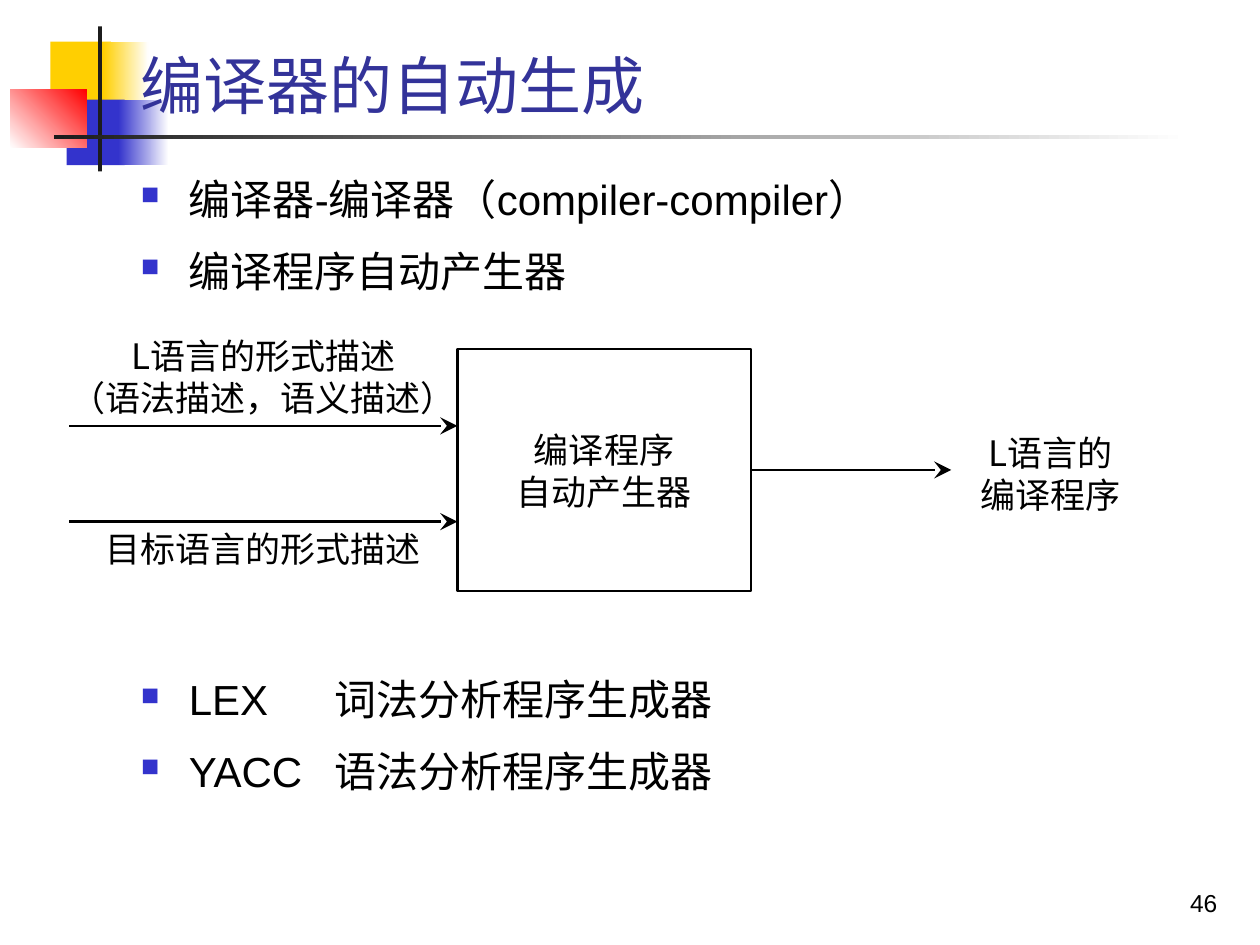
"""Build the slide on automatic compiler generation with its data-flow diagram."""
from lxml import etree
from pptx import Presentation
from pptx.dml.color import RGBColor
from pptx.enum.shapes import MSO_CONNECTOR, MSO_SHAPE
from pptx.enum.text import MSO_ANCHOR, PP_ALIGN
from pptx.oxml.ns import qn
from pptx.util import Inches, Pt

YELLOW = RGBColor(0xFF, 0xCF, 0x01)
BLUE = RGBColor(0x33, 0x33, 0xCC)
RED = RGBColor(0xFF, 0x00, 0x00)
DARK = RGBColor(0x1C, 0x1C, 0x1C)
WHITE = RGBColor(0xFF, 0xFF, 0xFF)
BLACK = RGBColor(0x00, 0x00, 0x00)
TITLE = RGBColor(0x33, 0x33, 0x99)
CJK = "Noto Sans CJK SC"


def write(sp, text, size=20, font=CJK, color=BLACK, align=PP_ALIGN.CENTER,
          anchor=MSO_ANCHOR.MIDDLE, inset=0, wrap=False, before=0, bullet=False):
    tf = sp.text_frame
    tf.word_wrap = wrap
    tf.vertical_anchor = anchor
    tf.margin_left = tf.margin_right = Inches(inset)
    for i, line in enumerate(text.split("\n")):
        p = tf.paragraphs[0] if i == 0 else tf.add_paragraph()
        p.alignment = align
        p.line_spacing = Pt(size * 1.2)
        p.space_before = Pt(before if i else 0)
        if bullet:
            pPr = p._p.get_or_add_pPr()
            pPr.set("marL", str(Inches(0.38)))
            pPr.set("indent", str(Inches(-0.38)))
            clr = etree.SubElement(pPr, qn("a:buClr"))
            etree.SubElement(clr, qn("a:srgbClr"), val=str(BLUE))
            etree.SubElement(pPr, qn("a:buSzPct"), val="60000")
            etree.SubElement(pPr, qn("a:buFont"), typeface="Wingdings", charset="2")
            etree.SubElement(pPr, qn("a:buChar"), char="n")
        r = p.add_run()
        r.text = line
        r.font.size = Pt(size)
        r.font.name = font
        r.font.color.rgb = color
        etree.SubElement(r._r.get_or_add_rPr(), qn("a:ea"), typeface=CJK)


prs = Presentation()
prs.slide_width = Inches(10)
prs.slide_height = Inches(7.5)
s = prs.slides.add_slide(prs.slide_layouts[6])

for x, y, w, h, start, end, angle in [
    (0.4, 0.33, 0.48, 0.52, YELLOW, None, 0),
    (0.82, 0.33, 0.36, 0.52, YELLOW, WHITE, 0),
    (0.53, 0.79, 0.46, 0.52, BLUE, None, 0),
    (0.94, 0.79, 0.4, 0.52, BLUE, WHITE, 0),
    (0.08, 0.71, 0.61, 0.46, WHITE, RED, 45),
    (0.78, 0.21, 0.03, 1.15, DARK, None, 0),
    (0.43, 1.07, 9, 0.03, DARK, WHITE, 0),
]:
    sp = s.shapes.add_shape(MSO_SHAPE.RECTANGLE, Inches(x), Inches(y), Inches(w), Inches(h))
    sp.shadow.inherit = False
    sp.line.fill.background()
    if end is None:
        sp.fill.solid()
        sp.fill.fore_color.rgb = start
    else:
        sp.fill.gradient()
        sp.fill.gradient_angle = angle
        for stop, color in zip(sp.fill.gradient_stops, (start, end)):
            stop.color.rgb = color

body = dict(size=24, font="Arial", align=PP_ALIGN.LEFT, anchor=MSO_ANCHOR.TOP,
            inset=0.1, wrap=True, before=12)
for x, y, w, h, text, style in [
    (1.02, 0.31, 8.75, 0.71, "编译器的自动生成",
     dict(body, size=36, color=TITLE, anchor=MSO_ANCHOR.BOTTOM)),
    (1.02, 1.33, 8.73, 1.1, "编译器-编译器（compiler-compiler）\n编译程序自动产生器",
     dict(body, bullet=True)),
    (1.02, 5.3, 1.5, 1.1, "LEX\nYACC", dict(body, bullet=True)),
    (2.56, 5.3, 7.19, 1.1, "词法分析程序生成器\n语法分析程序生成器", body),
    (7.68, 6.83, 2.08, 0.5, "46",
     dict(body, size=14, align=PP_ALIGN.RIGHT, anchor=MSO_ANCHOR.BOTTOM)),
    (0.44, 2.6, 3.3, 0.78, "L语言的形式描述\n（语法描述，语义描述）", {}),
    (0.63, 4.14, 2.92, 0.43, "目标语言的形式描述", {}),
    (7.46, 2.97, 1.75, 1.58, "L语言的\n编译程序", {}),
]:
    sp = s.shapes.add_textbox(Inches(x), Inches(y), Inches(w), Inches(h))
    write(sp, text, **style)

generator = s.shapes.add_shape(MSO_SHAPE.RECTANGLE, Inches(3.63), Inches(2.77),
                               Inches(2.33), Inches(1.92))
generator.shadow.inherit = False
generator.fill.background()
generator.line.color.rgb = BLACK
generator.line.width = Pt(1.5)
write(generator, "编译程序\n自动产生器")

for x1, x2, y in [(0.55, 3.63, 3.38), (0.55, 3.63, 4.14), (5.96, 7.55, 3.73)]:
    arrow = s.shapes.add_connector(MSO_CONNECTOR.STRAIGHT, Inches(x1), Inches(y),
                                   Inches(x2), Inches(y))
    arrow.line.color.rgb = BLACK
    arrow.line.width = Pt(1.5)
    etree.SubElement(arrow.line._get_or_add_ln(), qn("a:tailEnd"),
                     type="stealth", w="lg", len="lg")
    etree.SubElement(arrow._element.spPr, qn("a:effectLst"))
arrow.begin_connect(generator, 3)

prs.save("out.pptx")
